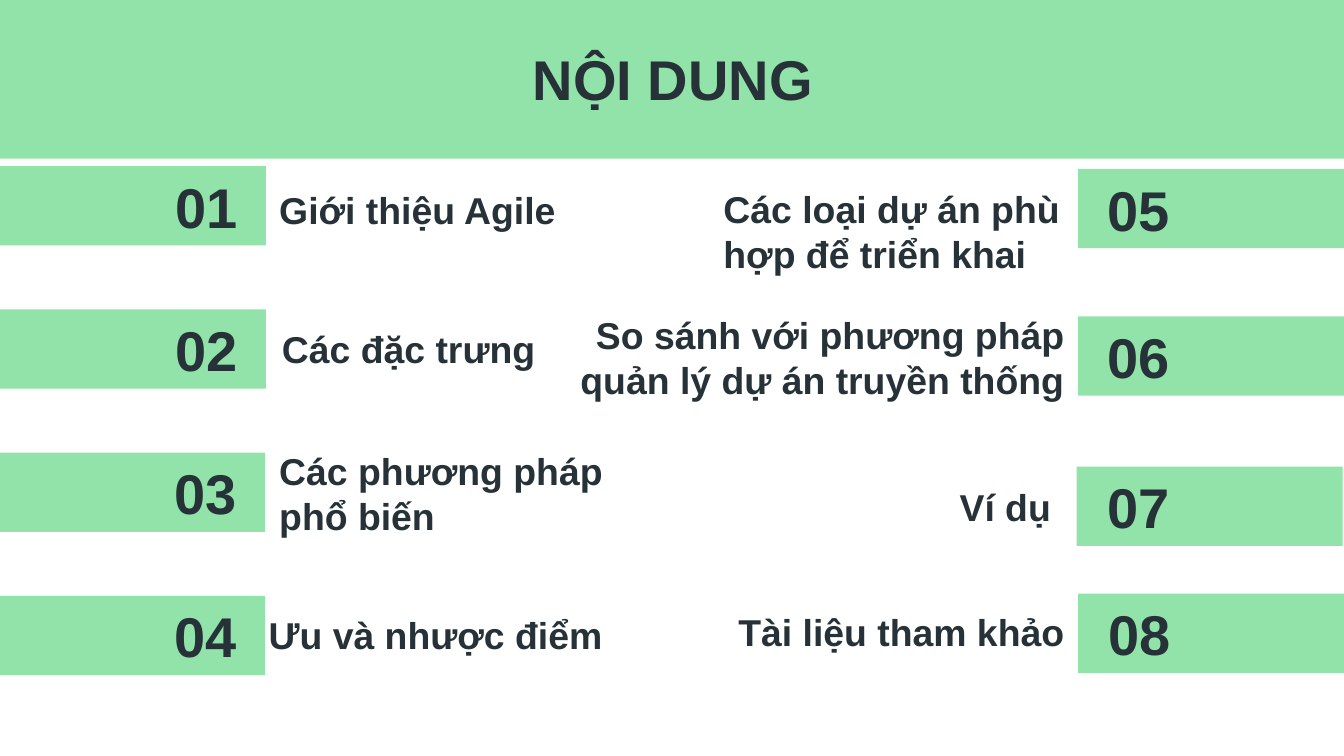
from dataclasses import dataclass
from pptx import Presentation
from pptx.dml.color import RGBColor as RGB
from pptx.enum.shapes import MSO_SHAPE as Shape
from pptx.enum.text import MSO_ANCHOR as Anchor, MSO_AUTO_SIZE as Fit, PP_ALIGN as Align
from pptx.util import Pt


@dataclass(frozen=True)
class Theme:
    green: RGB = RGB(0x92, 0xE3, 0xA9)
    ink: RGB = RGB(0x26, 0x32, 0x38)
    font: str = "Arial"
    big: int = 30
    small: int = 20


theme = Theme()
deck = Presentation()
deck.slide_width, deck.slide_height = Pt(720), Pt(405)
slide = deck.slides.add_slide(deck.slide_layouts[5])


def add_bar(x, y, w, h):
    bar = slide.shapes.add_shape(Shape.RECTANGLE, Pt(x), Pt(y), Pt(w), Pt(h))
    bar.shadow.inherit = False
    bar.fill.solid()
    bar.fill.fore_color.rgb = theme.green
    bar.line.fill.background()


def set_text(box, text, size, align):
    frame = box.text_frame
    frame.text = text
    frame.word_wrap = True
    frame.auto_size = Fit.NONE
    frame.vertical_anchor = Anchor.MIDDLE
    frame.margin_left = frame.margin_right = Pt(7.2)
    frame.margin_top = frame.margin_bottom = Pt(7.2)
    para = frame.paragraphs[0]
    para.alignment = align
    font = para.font
    font.name, font.size, font.bold = theme.font, Pt(size), True
    font.color.rgb = theme.ink


# Header band, kept behind the title
add_bar(0, 0, 720, 85)
title = slide.shapes.title
band = slide.shapes[-1]
band.element.addnext(title.element)
title.left, title.top, title.width, title.height = Pt(57), Pt(19.5), Pt(607), Pt(45)
set_text(title, "NỘI DUNG", theme.big, Align.CENTER)

# Agenda: bar left and top, number left, label, label box, alignment
wide, high = 142.5, 42.5
left, right = Align.LEFT, Align.RIGHT
items = [
    (0, 89, 78, "Giới thiệu Agile", (142.5, 101, 184.5, 22.5), left),
    (0, 165.75, 78, "Các đặc trưng", (65, 165.5, 229, 42.5), right),
    (-0.5, 242.5, 77.5, "Các phương pháp phổ biến", (142.5, 240, 214.5, 48), left),
    (-0.5, 319.25, 77.5, "Ưu và nhược điểm", (119, 316, 211, 48), right),
    (577.5, 90.5, 577.5, "Các loại dự án phù hợp để triển khai", (380.5, 102.5, 207.5, 42.5), left),
    (577.5, 169.5, 577.5, "So sánh với phương pháp quản lý dự án truyền thống",
     (299.5, 158.5, 278, 66), right),
    (576.75, 250, 577.5, "Ví dụ", (507, 253.5, 153, 36), left),
    (577.5, 318, 578, "Tài liệu tham khảo", (366.5, 314.5, 211, 48), right),
]
for num, (x, y, num_x, label, place, align) in enumerate(items, 1):
    add_bar(x, y, wide, high)
    box = slide.shapes.add_textbox(*map(Pt, place))
    set_text(box, label, theme.small, align)
    box = slide.shapes.add_textbox(Pt(num_x), Pt(y), Pt(65), Pt(high))
    set_text(box, f"{num:02}", theme.big, Align.CENTER)

deck.save("out.pptx")
